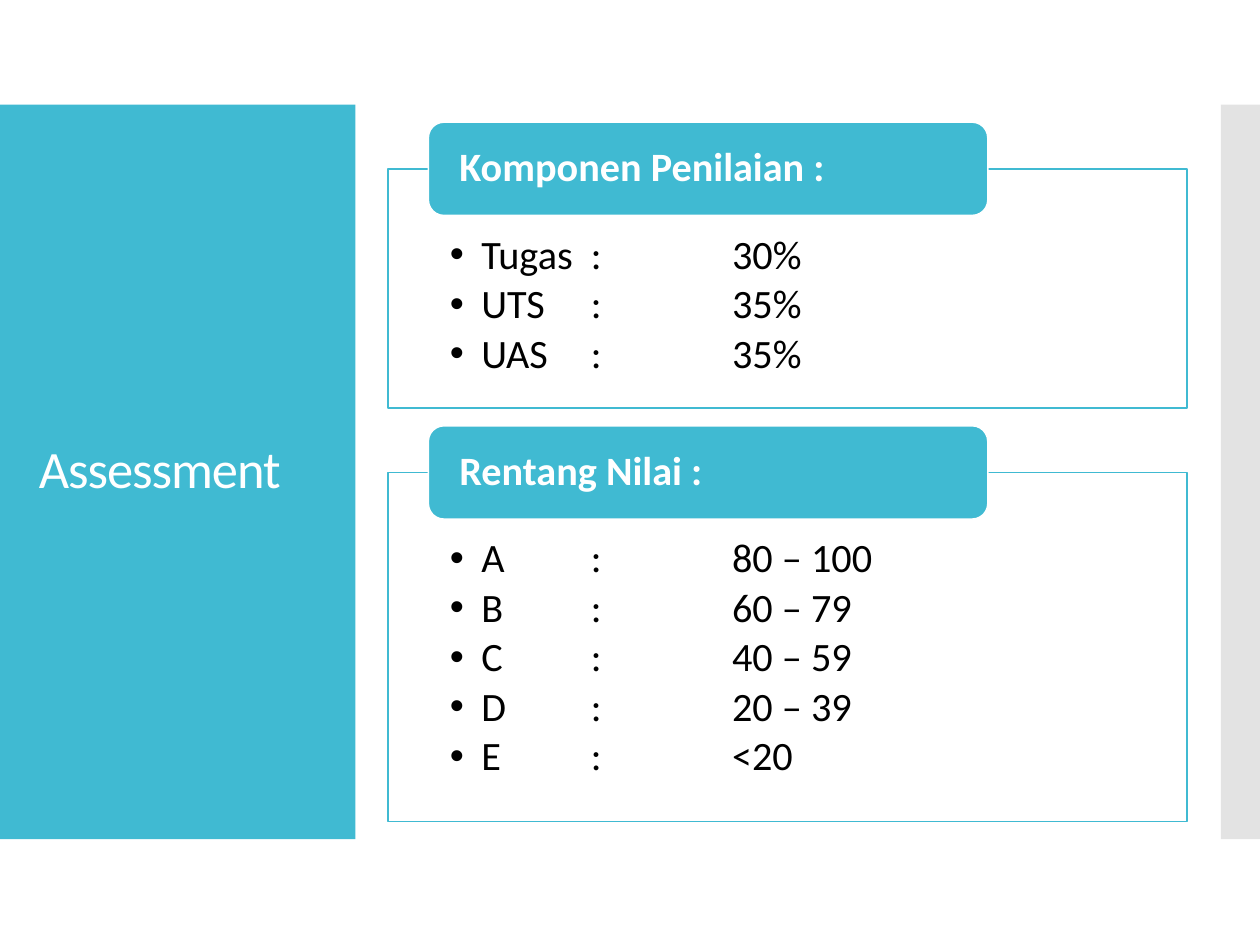
from pptx import Presentation
from pptx.dml.color import RGBColor
from pptx.enum.shapes import MSO_SHAPE
from pptx.enum.text import MSO_ANCHOR, PP_ALIGN
from pptx.oxml.ns import qn
from pptx.util import Inches, Pt
from lxml.etree import SubElement

TITLE = "Assessment"
CARDS = [
    ("Komponen Penilaian :", 1.34, 1.9,
     [("Tugas", "30%"), ("UTS", "35%"), ("UAS", "35%")]),
    ("Rentang Nilai :", 3.75, 2.77,
     [("A", "80 – 100"), ("B", "60 – 79"), ("C", "40 – 59"),
      ("D", "20 – 39"), ("E", "<20")]),
]
THEME = {"font": "Calibri", "teal": "40BAD2", "gray": "C8C8C8",
         "white": "FFFFFF", "black": "000000", "title": 30, "body": 23}


def color(name):
    return RGBColor.from_string(THEME[name])


def box(slide, kind, area, fill, line=None, alpha=None):
    shape = slide.shapes.add_shape(kind, *map(Inches, area))
    shape.shadow.inherit = False
    shape.fill.solid()
    shape.fill.fore_color.rgb = color(fill)
    if alpha:
        tone = shape.fill._xPr.find(qn("a:solidFill"))[0]
        SubElement(tone, qn("a:alpha")).set("val", str(alpha * 1000))
    if line:
        shape.line.color.rgb = color(line)
        shape.line.width = Pt(0.85)
    else:
        shape.line.fill.background()
    return shape


def write(shape, lines, size="body", ink="white", bold=False, inset=(0.1, 0.05, 0.1, 0.05),
          anchor=MSO_ANCHOR.MIDDLE, after=0, bullet=False, track=None):
    frame = shape.text_frame
    frame.word_wrap = True
    frame.vertical_anchor = anchor
    (frame.margin_left, frame.margin_top,
     frame.margin_right, frame.margin_bottom) = map(Inches, inset)
    for i, line in enumerate(lines):
        para = frame.paragraphs[0] if i == 0 else frame.add_paragraph()
        para.alignment = PP_ALIGN.LEFT
        para.line_spacing = 0.9
        para.space_after = Pt(after)
        if bullet:
            props = para._p.get_or_add_pPr()
            props.set("marL", str(Inches(0.25)))
            props.set("indent", str(Inches(-0.25)))
            props.set("defTabSz", str(Inches(1.12)))
            SubElement(props, qn("a:buFont")).set("typeface", "Arial")
            SubElement(props, qn("a:buChar")).set("char", "•")
        run = para.add_run()
        run.text = line
        run.font.name = THEME["font"]
        run.font.size = Pt(THEME[size])
        run.font.bold = bold
        run.font.color.rgb = color(ink)
        if track:
            run.font._element.set("spc", str(track))


def card(slide, head, top, height, rows):
    panel = box(slide, MSO_SHAPE.RECTANGLE, (3.08, top, 6.34, height),
                "white", line="teal", alpha=90)
    write(panel, [f"{name}\t:\t{value}" for name, value in rows], ink="black",
          inset=(0.49, 0.52, 0.49, 0.18), anchor=MSO_ANCHOR.TOP, after=3.45, bullet=True)
    tab = box(slide, MSO_SHAPE.ROUNDED_RECTANGLE, (3.4, top - 0.37, 4.44, 0.74),
              "teal", line="white")
    write(tab, [head], bold=True, inset=(0.21, 0, 0.21, 0))


def main():
    deck = Presentation()
    deck.slide_width, deck.slide_height = Inches(10), Inches(7.5)
    slide = deck.slides.add_slide(deck.slide_layouts[6])
    box(slide, MSO_SHAPE.RECTANGLE, (0, 0.83, 2.82, 5.83), "teal")
    box(slide, MSO_SHAPE.RECTANGLE, (9.69, 0.83, 0.31, 5.83), "gray", alpha=50)
    title = slide.shapes.add_textbox(*map(Inches, (0.21, 1.23, 2.42, 5.03)))
    write(title, [TITLE], size="title", track=-60)
    for item in CARDS:
        card(slide, *item)
    deck.save("out.pptx")


if __name__ == "__main__":
    main()
